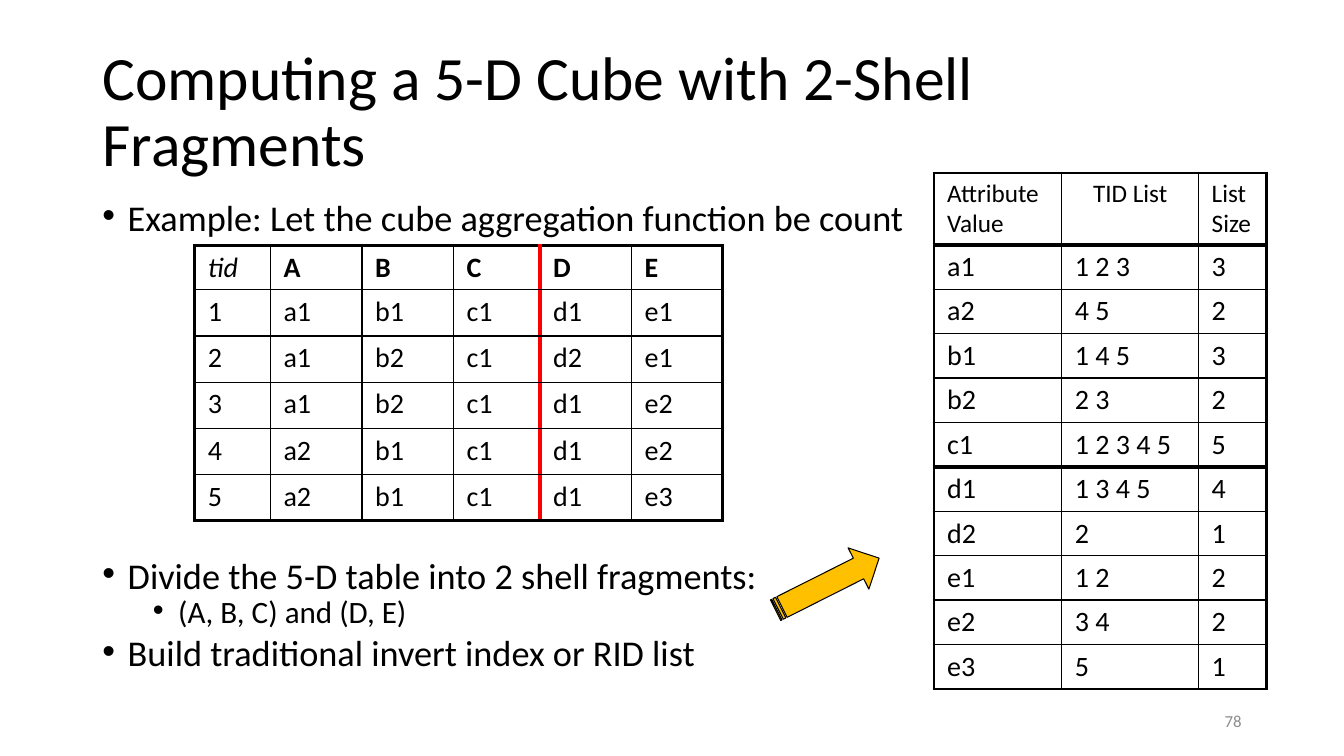
from lxml import etree
from pptx import Presentation
from pptx import util as u
from pptx.dml.color import RGBColor
from pptx.enum import shapes, text
from pptx.oxml.ns import qn

COLUMNS, ROWS = 160, 90  # grid over the whole slide


def colour(value):
    return RGBColor.from_string(value)


class SlideBuilder:
    font = "Calibri"
    ink, grey, red, gold = "000000", "8C8C8C", "FF0000", "FFC000"
    outer, inner, heavy = 2.25, 1, 3  # table rule widths

    def __init__(self, deck):
        self.slide = deck.slides.add_slide(deck.slide_layouts[1])
        self.column = deck.slide_width / COLUMNS
        self.row = deck.slide_height / ROWS

    def x(self, columns):
        return u.Emu(round(columns * self.column))

    def y(self, rows):
        return u.Emu(round(rows * self.row))

    def area(self, left, top, width, height):
        return self.x(left), self.y(top), self.x(width), self.y(height)

    def place(self, holder, box):
        holder.left, holder.top, holder.width, holder.height = self.area(*box)
        frame = holder.text_frame
        frame.word_wrap = True
        frame.auto_size = text.MSO_AUTO_SIZE.NONE
        return frame

    def run(self, paragraph, words, size, ink=ink, bold=False, italic=False):
        run = paragraph.add_run()
        run.text = words
        font = run.font
        font.name, font.size = self.font, u.Pt(size)
        font.bold, font.italic = bold, italic
        font.color.rgb = colour(ink)

    def title(self, words, box):
        frame = self.place(self.slide.shapes.title, box)
        frame.vertical_anchor = text.MSO_ANCHOR.MIDDLE
        heading = frame.paragraphs[0]
        heading.alignment = text.PP_ALIGN.LEFT
        heading.line_spacing = 0.9
        self.run(heading, words, 44)

    def bullets(self, points, box):
        frame = self.place(self.slide.placeholders[1], box)
        frame.vertical_anchor = text.MSO_ANCHOR.TOP
        for number, (words, level, size, before) in enumerate(points):
            point = frame.add_paragraph() if number else frame.paragraphs[0]
            point.level = level
            point.line_spacing = 0.7
            point.space_before = u.Pt(before)
            properties = point._p.get_or_add_pPr()
            properties.set("marL", str(u.Inches(0.25 + 0.5 * level)))
            properties.set("indent", str(u.Inches(-0.25)))
            typeface = etree.SubElement(properties, qn("a:buFont"))
            typeface.set("typeface", "Arial")
            etree.SubElement(properties, qn("a:buChar")).set("char", "•")
            self.run(point, words, size)

    def border(self, cell, side, width, ink):
        line = etree.SubElement(cell._tc.get_or_add_tcPr(), qn("a:ln" + side))
        line.set("w", str(u.Pt(width)))
        fill = etree.SubElement(line, qn("a:solidFill"))
        etree.SubElement(fill, qn("a:srgbClr")).set("val", ink)

    def table(self, records, corner, widths, heights, heading,
              red_column=None, heavy_rows=()):
        box = self.area(*corner, sum(widths), sum(heights))
        grid = self.slide.shapes.add_table(len(records), len(widths), *box).table
        grid.first_row = grid.horz_banding = False
        for column, width in zip(grid.columns, widths):
            column.width = self.x(width)
        for row, height in zip(grid.rows, heights):
            row.height = self.y(height)

        def vertical(edge):
            if edge == red_column:
                return self.heavy, self.red
            return self.outer if edge in (0, len(widths)) else self.inner, self.ink

        def horizontal(edge):
            if edge in heavy_rows:
                return self.heavy, self.ink
            return self.outer if edge in (0, len(records)) else self.inner, self.ink

        for r, record in enumerate(records):
            for c, words in enumerate(record):
                cell = grid.cell(r, c)
                cell.margin_left = cell.margin_right = u.Inches(0.13)
                cell.margin_top = cell.margin_bottom = u.Inches(0.05)
                for side, rule in (("L", vertical(c)), ("R", vertical(c + 1)),
                                   ("T", horizontal(r)), ("B", horizontal(r + 1))):
                    self.border(cell, side, *rule)
                cell.fill.background()
                style = heading[c] if r == 0 else {"size": 20}
                paragraph = cell.text_frame.paragraphs[0]
                if style.get("centred"):
                    paragraph.alignment = text.PP_ALIGN.CENTER
                self.run(paragraph, words,
                         **{k: v for k, v in style.items() if k != "centred"})

    def arrow(self, box, rotation):
        arrow = self.slide.shapes.add_shape(
            shapes.MSO_SHAPE.STRIPED_RIGHT_ARROW, *self.area(*box))
        arrow.rotation = rotation
        arrow.shadow.inherit = False
        arrow.fill.solid()
        arrow.fill.fore_color.rgb = colour(self.gold)
        arrow.line.color.rgb = colour(self.ink)
        arrow.line.width = u.Pt(0.75)

    def page_number(self, words, box):
        holder = self.slide.shapes.add_textbox(*self.area(*box))
        frame = self.place(holder, box)
        frame.vertical_anchor = text.MSO_ANCHOR.MIDDLE
        frame.paragraphs[0].alignment = text.PP_ALIGN.RIGHT
        self.run(frame.paragraphs[0], words, 12, self.grey)


def main():
    deck = Presentation()
    deck.slide_width, deck.slide_height = u.Inches(13.33), u.Inches(7.5)
    page = SlideBuilder(deck)

    # Title and points; the wide gap leaves room for the base table
    page.title("Computing a 5-D Cube with 2-Shell Fragments", (11, 4.8, 138, 17.4))
    page.bullets([
        ("Example: Let the cube aggregation function be count", 0, 25.9, 0),
        ("Divide the 5-D table into 2 shell fragments:", 0, 25.9, 234),
        ("(A, B, C) and (D, E)", 1, 22.2, 5),
        ("Build traditional invert index or RID list", 0, 25.9, 10),
    ], (11, 24, 138, 57.1))

    # Base table, split between the two fragments
    base_records = [
        ("tid", "A", "B", "C", "D", "E"),
        ("1", "a1", "b1", "c1", "d1", "e1"),
        ("2", "a1", "b2", "c1", "d2", "e1"),
        ("3", "a1", "b2", "c1", "d1", "e2"),
        ("4", "a2", "b1", "c1", "d1", "e2"),
        ("5", "a2", "b1", "c1", "d1", "e3"),
    ]
    page.table(base_records, (23.2, 29.2), [9, 10.9, 10.9, 10.3, 10.9, 10.8],
               [5.3] + [5.5] * 5,
               [{"size": 20, "italic": True}] + [{"size": 20, "bold": True}] * 5,
               red_column=4)

    # Inverted index; list size follows from the TID list
    tid_lists = {
        "a1": "1 2 3", "a2": "4 5", "b1": "1 4 5", "b2": "2 3", "c1": "1 2 3 4 5",
        "d1": "1 3 4 5", "d2": "2", "e1": "1 2", "e2": "3 4", "e3": "5",
    }
    index_records = [("Attribute Value", "TID List", "List Size")]
    index_records += [(value, tids, str(len(tids.split())))
                      for value, tids in tid_lists.items()]
    page.table(index_records, (111.2, 20.6), [15.2, 16.3, 8.1],
               [8.55] + [5.28] * 10,
               [{"size": 18}, {"size": 18, "centred": True}, {"size": 18}],
               heavy_rows=(1, 6))

    # Arrow towards the index, and page number
    page.arrow((91.6, 66.8, 13.8, 5.5), 333.3)
    page.page_number("78", (113, 83.4, 36, 4.8))

    deck.save("out.pptx")


if __name__ == "__main__":
    main()
